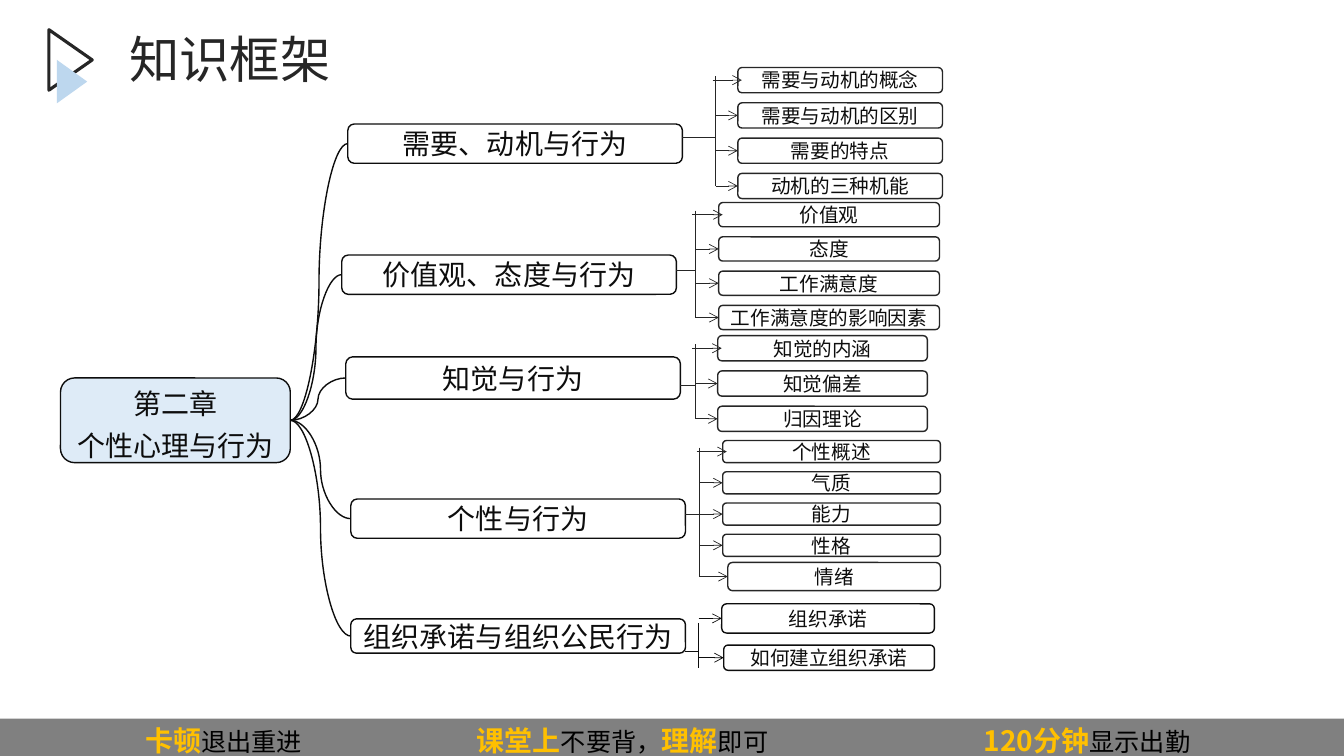
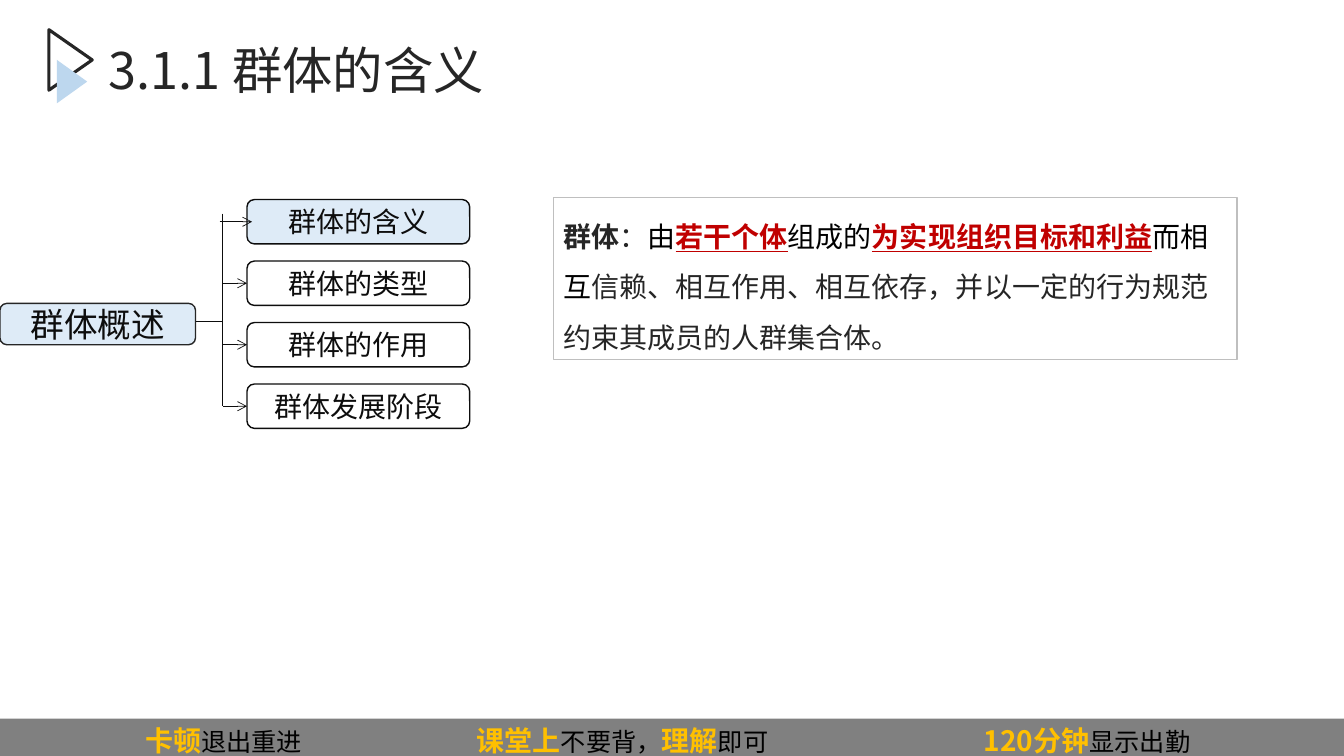
from dataclasses import dataclass

from lxml import etree
from pptx import Presentation
from pptx import util as u
from pptx.dml.color import RGBColor
from pptx.enum import shapes, text
from pptx.oxml import ns


@dataclass(frozen=True)
class Theme:
    font: str = "Noto Sans CJK SC"
    ink: str = "0D0D0D"
    soft_ink: str = "262626"
    black: str = "000000"
    pale_blue: str = "DEEBF7"
    sky: str = "BDD7EE"
    band: str = "808080"
    gold: str = "FFC000"
    red: str = "C00000"
    frame: str = "BFBFBF"
    title: int = 36
    heading: int = 24
    body: int = 20
    note: int = 18
    leaf: int = 14
    hairline: float = 0.5
    outline: float = 1
    bold_outline: float = 2.25


THEME = Theme()
COLS, ROWS = 133.33, 75  # grid cells of a tenth of an inch


def grid(*cells):
    return [u.Inches(cell / 10) for cell in cells]


@dataclass(frozen=True)
class Box:
    left: float
    top: float
    width: float
    height: float

    def inner(self, left, top, width, height):
        return Box(self.left + left, self.top + top, width, height)

    @property
    def right(self):
        return self.left + self.width

    @property
    def emu(self):
        return grid(self.left, self.top, self.width, self.height)


@dataclass(frozen=True)
class Branch:
    """Leaves beside a topic; offsets count from the topic's top right corner."""
    leaves: tuple        # name, or (name, left indent, extra height)
    spine: float
    leaf_left: float
    leaf_width: float
    leaf_height: float
    first_middle: float
    pitch: float
    stub: float
    overhang: tuple = (0.4, 0)   # spine beyond the first and last leaf
    lead: tuple = (0.3, 0.4)     # first arrow beyond spine and leaf edge
    ink: str = THEME.soft_ink
    leaf_size: int = THEME.leaf
    stub_line: float = THEME.hairline
    chosen: int = -1


SLIDE = Box(0, 0, COLS, ROWS)


# Text and shape helpers
def set_all(target, values):
    for name, value in values.items():
        setattr(target, name, value)


def add_run(paragraph, words, size, color=THEME.ink, **format_values):
    run = paragraph.add_run()
    run.text = words
    set_all(run.font, {"name": THEME.font, "size": u.Pt(size), **format_values})
    run.font.color.rgb = RGBColor.from_string(color)
    east_asian = etree.SubElement(run.font._element, ns.qn("a:ea"))
    east_asian.set("typeface", THEME.font)


def add_box(slide, kind, box, fill=None, line=None, weight=THEME.outline):
    shape = slide.shapes.add_shape(kind, *box.emu)
    shape.shadow.inherit = False
    if fill:
        shape.fill.solid()
        shape.fill.fore_color.rgb = RGBColor.from_string(fill)
    else:
        shape.fill.background()
    if line:
        shape.line.color.rgb = RGBColor.from_string(line)
        shape.line.width = u.Pt(weight)
    else:
        shape.line.fill.background()
    return shape


def add_label(slide, box, lines, size, fill=None, line=THEME.ink, spacing=None):
    label = add_box(slide, shapes.MSO_SHAPE.ROUNDED_RECTANGLE, box, fill, line)
    frame = label.text_frame
    set_all(frame, {"word_wrap": True, "margin_top": 0, "margin_bottom": 0,
                    "vertical_anchor": text.MSO_ANCHOR.MIDDLE})
    for index, words in enumerate(lines):
        paragraph = frame.add_paragraph() if index else frame.paragraphs[0]
        set_all(paragraph, {"alignment": text.PP_ALIGN.CENTER,
                            "line_spacing": spacing})
        add_run(paragraph, words, size)
    return label


def add_line(slide, start, end, color=THEME.ink, weight=THEME.hairline,
             kind=shapes.MSO_CONNECTOR.STRAIGHT, arrow=False):
    line = slide.shapes.add_connector(kind, *grid(*start, *end))
    line.line.color.rgb = RGBColor.from_string(color)
    line.line.width = u.Pt(weight)
    if arrow:
        etree.SubElement(line.line._get_or_add_ln(), ns.qn("a:tailEnd"), type="arrow")
    etree.SubElement(line._element.spPr, ns.qn("a:effectLst"))
    return line


# Parts that every slide shares
def add_emblem(slide, box):
    triangle = shapes.MSO_SHAPE.ISOSCELES_TRIANGLE
    outer = add_box(slide, triangle, box.inner(0, 0, 6, 4.3),
                    line=THEME.soft_ink, weight=THEME.bold_outline)
    inner = add_box(slide, triangle, box.inner(1, 2.8, 4.3, 3), fill=THEME.sky)
    for part in (outer, inner):
        part.rotation = 90


def add_footer(slide, box):
    band = add_box(slide, shapes.MSO_SHAPE.RECTANGLE, box, fill=THEME.band)
    set_all(band.text_frame, {"word_wrap": True, "margin_left": u.Inches(1.44),
                              "margin_right": 0,
                              "vertical_anchor": text.MSO_ANCHOR.TOP})
    paragraph = band.text_frame.paragraphs[0]
    paragraph.alignment = text.PP_ALIGN.LEFT
    tabs = etree.SubElement(paragraph._p.get_or_add_pPr(), ns.qn("a:tabLst"))
    for stop in (3.29, 8.32):
        etree.SubElement(tabs, ns.qn("a:tab"), pos=str(u.Inches(stop)), algn="l")
    reminders = (("卡顿", "退出重进\t"), ("课堂上", "不要背，"),
                 ("理解", "即可\t"), ("120分钟", "显示出勤"))
    for key, rest in reminders:
        add_run(paragraph, key, THEME.body, THEME.gold, bold=True)
        add_run(paragraph, rest, THEME.note, THEME.black, bold=False)


def new_slide(deck, title, title_box):
    slide = deck.slides.add_slide(deck.slide_layouts[5])
    add_emblem(slide, SLIDE.inner(4, 3.8, 6, 6))
    add_footer(slide, SLIDE.inner(0, 71.3, COLS, 4.4))
    heading = slide.shapes.title
    set_all(heading, dict(zip(("left", "top", "width", "height"), title_box.emu)))
    set_all(heading.text_frame, {"word_wrap": True,
                                 "auto_size": text.MSO_AUTO_SIZE.NONE,
                                 "vertical_anchor": text.MSO_ANCHOR.TOP})
    paragraph = heading.text_frame.paragraphs[0]
    set_all(paragraph, {"alignment": text.PP_ALIGN.LEFT, "line_spacing": 0.9})
    add_run(paragraph, title, THEME.title, THEME.soft_ink)
    return slide


# A topic's leaves with spine, stub and arrows
def add_branch(slide, topic, branch):
    spine = topic.right + branch.spine
    first = topic.top + branch.first_middle
    last = first + branch.pitch * (len(branch.leaves) - 1)
    stub = topic.top + branch.stub
    add_line(slide, (spine, first - branch.overhang[0]),
             (spine, last + branch.overhang[1]), branch.ink)
    add_line(slide, (topic.right, stub), (spine, stub), branch.ink, branch.stub_line)
    for index, leaf in enumerate(branch.leaves):
        name, indent, growth = (leaf, 0, 0) if isinstance(leaf, str) else leaf
        middle = first + index * branch.pitch
        height = branch.leaf_height + growth
        box = Box(topic.right + branch.leaf_left + indent, middle - height / 2,
                  branch.leaf_width - indent, height)
        add_label(slide, box, [name], branch.leaf_size, line=branch.ink,
                  fill=THEME.pale_blue if index == branch.chosen else None)
        before, after = (0, 0) if index else branch.lead
        add_line(slide, (spine - before, middle), (box.left + after, middle),
                 branch.ink, arrow=True)


# Slide with the chapter's mind map
CHAPTER = (
    ("需要、动机与行为", (28.5, 0, 33.2, 3.9),
     Branch(("需要与动机的概念", "需要与动机的区别", "需要的特点", "动机的三种机能"),
            3.3, 5.5, 20.3, 2.5, -4.35, 3.5, 1.3)),
    ("价值观、态度与行为", (27.9, 13, 33.2, 3.9),
     Branch(("价值观", "态度", "工作满意度", "工作满意度的影响因素"),
            1.9, 4.2, 21.9, 2.4, -4, 3.4, 1.5)),
    ("知觉与行为", (28.3, 23.1, 33.2, 4.2),
     Branch(("知觉的内涵", "知觉偏差", "归因理论"),
            1.5, 3.7, 20.8, 2.5, -0.85, 3.5, 2.8)),
    ("个性与行为", (28.8, 37.2, 33.2, 3.9),
     Branch(("个性概述", "气质", "能力", "性格", ("情绪", 0.5, 0.6)),
            1.4, 3.7, 21.6, 2.2, -4.7, 3.1, 1.5)),
    ("组织承诺与组织公民行为", (28.8, 49.1, 33.2, 3.4),
     Branch(("组织承诺", 0, 0.4) and (("组织承诺", 0, 0.4), ("如何建立组织承诺", 0.2, 0)),
            1.3, 3.6, 21.1, 2.5, -0.05, 3.9, 3.2,
            overhang=(-0.45, 1), lead=(0, 0), ink=THEME.ink)),
)


def add_mind_map(slide, box):
    root = add_label(slide, box.inner(0, 25.2, 22.8, 8.4),
                     ["第二章", "个性心理与行为"], THEME.body,
                     fill=THEME.pale_blue, spacing=u.Pt(30))
    for name, place, branch in CHAPTER:
        topic_box = box.inner(*place)
        topic = add_label(slide, topic_box, [name], THEME.body)
        curve = add_line(slide, (0, 0), (1, 1), weight=THEME.outline,
                         kind=shapes.MSO_CONNECTOR.CURVE)
        curve.begin_connect(root, 3)
        curve.end_connect(topic, 1)
        add_branch(slide, topic_box, branch)


# Slide with a section overview and a definition
SECTION = Branch(("群体的含义", "群体的类型", "群体的作用", "群体发展阶段"),
                 2.7, 5.1, 22.1, 4.4, -8.1, 6.1, 1.8, overhang=(0.8, 0),
                 lead=(0.3, 0.5), ink=THEME.ink, leaf_size=THEME.body,
                 stub_line=THEME.outline, chosen=0)


def add_section(slide, box):
    add_label(slide, box, ["群体概述"], THEME.heading, THEME.pale_blue, THEME.soft_ink)
    add_branch(slide, box, SECTION)


def add_definition(slide, box):
    panel = add_box(slide, shapes.MSO_SHAPE.RECTANGLE, box, line=THEME.frame)
    set_all(panel.text_frame, {"word_wrap": True,
                               "vertical_anchor": text.MSO_ANCHOR.TOP})
    paragraph = panel.text_frame.paragraphs[0]
    set_all(paragraph, {"alignment": text.PP_ALIGN.LEFT, "line_spacing": 1.5})
    key_point = {"bold": True, "underline": True}
    wording = (
        ("群体", THEME.soft_ink, {"bold": True}),
        ("：", THEME.soft_ink, {}),
        ("由", THEME.black, {}),
        ("若干个体", THEME.red, key_point),
        ("组成的", THEME.black, {}),
        ("为实现组织目标和利益", THEME.red, key_point),
        ("而相互", THEME.black, {}),
        ("信赖、相互作用、相互依存，并以一定的行为规范约束其成员的人群集合体。",
         THEME.soft_ink, {}),
    )
    for words, color, format_values in wording:
        add_run(paragraph, words, THEME.body, color, **format_values)


def main():
    deck = Presentation()
    deck.slide_width, deck.slide_height = grid(COLS, ROWS)

    framework = new_slide(deck, "知识框架", SLIDE.inner(11.8, 3, 76.3, 8.9))
    add_mind_map(framework, SLIDE.inner(6, 12.3, 88, 55))

    meaning = new_slide(deck, "3.1.1 群体的含义", SLIDE.inner(9.8, 4.1, 120, 9.3))
    add_section(meaning, SLIDE.inner(0, 30.1, 19.4, 4.1))
    add_definition(meaning, SLIDE.inner(54.9, 19.6, 67.8, 16.1))

    deck.save("out.pptx")


if __name__ == "__main__":
    main()
